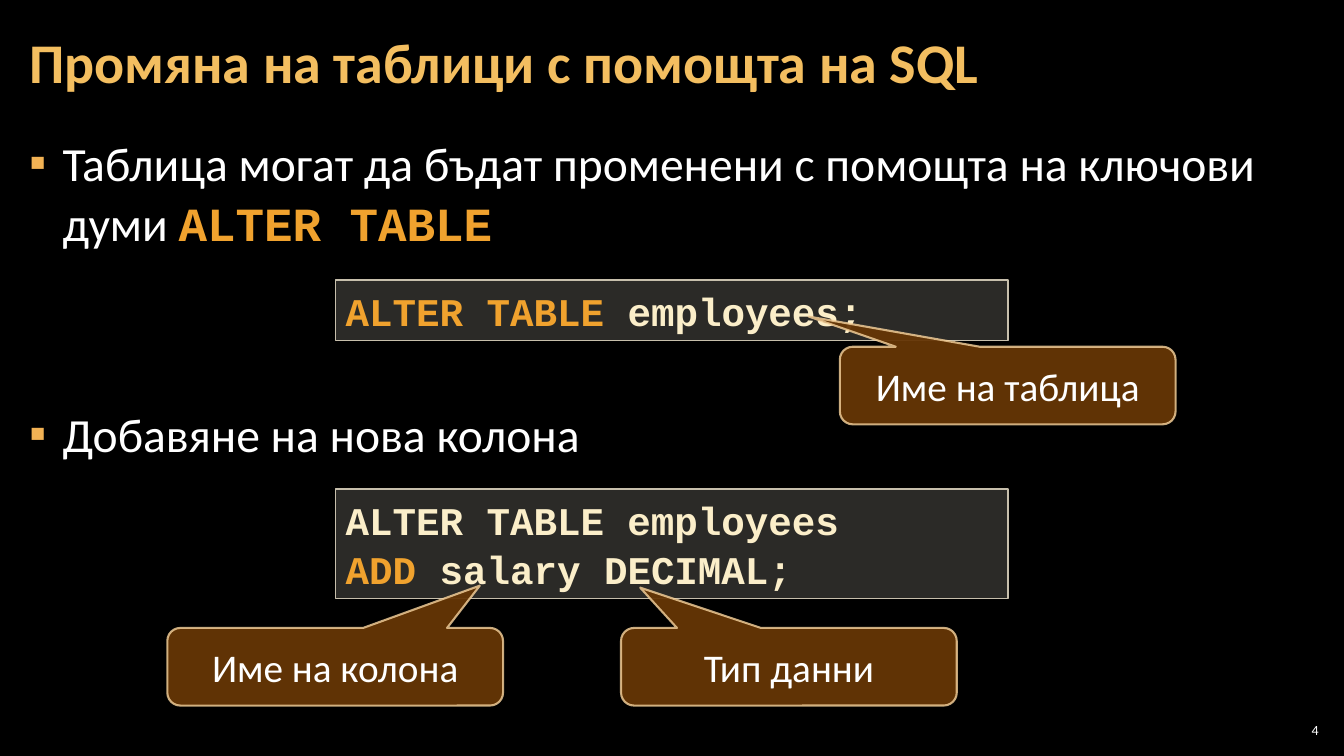
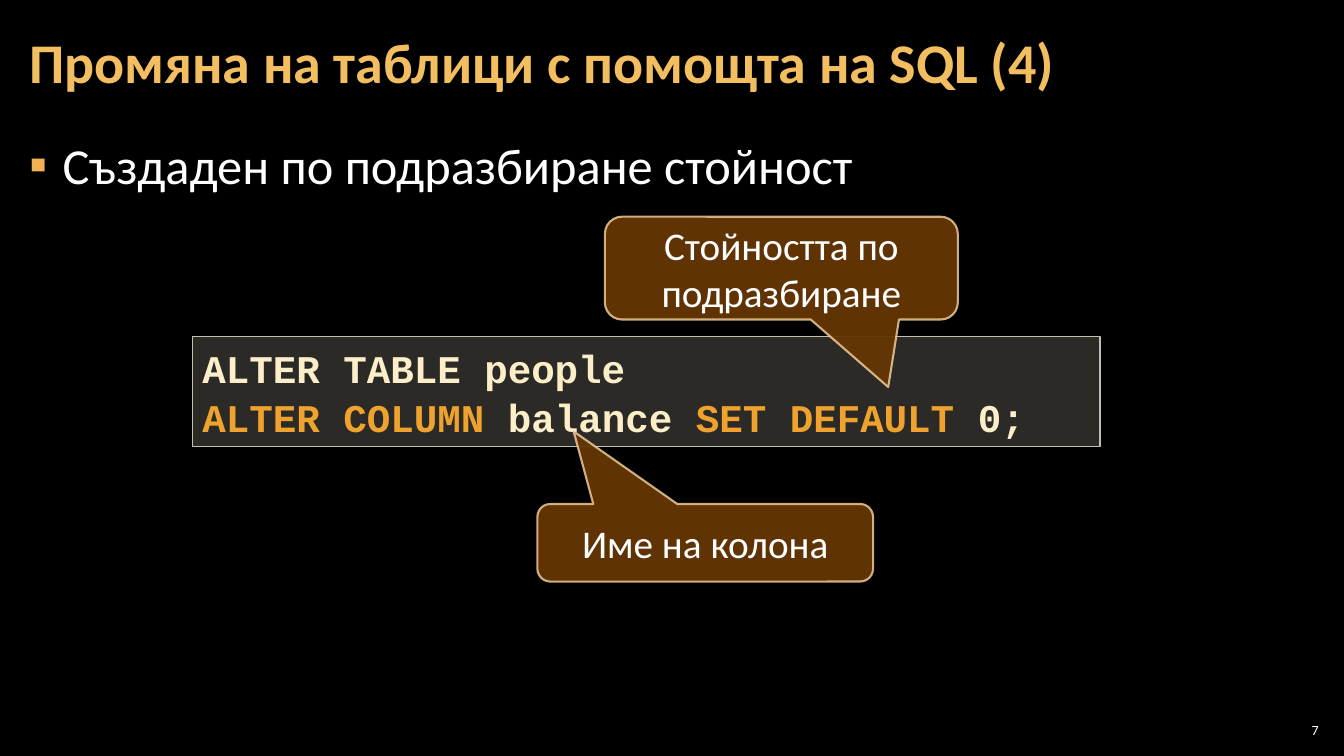
from lxml import etree
from pptx import Presentation
from pptx.dml.color import RGBColor
from pptx.enum import shapes, text
from pptx.oxml.ns import qn
from pptx.util import Inches, Pt

COLORS = {
    "background": "000000",
    "title": "F3BE60",
    "white": "FFFFFF",
    "bullet": "F2B254",
    "keyword": "F0A22E",
    "code": "FBEEC9",
    "code_fill": "D9D5C7",
    "code_line": "C7BFAC",
    "callout_fill": "663606",
    "callout_line": "F8D49E",
}
STYLES = {
    "title": ("Calibri", "title", True),
    "plain": ("Calibri", "white", False),
    "keyword": ("Courier New", "keyword", True),
    "code": ("Courier New", "code", True),
}
CALLOUT_WIDTH, CALLOUT_HEIGHT = 3.33, 0.77
MIDDLE = text.MSO_ANCHOR.MIDDLE


def rgb(name):
    """Return the named colour."""
    return RGBColor.from_string(COLORS[name])


def inches(*lengths):
    """Convert several lengths to EMU."""
    return [Inches(length) for length in lengths]


def write_runs(paragraph, pieces, size):
    """Write (text, style) pieces into a paragraph."""
    for words, style in pieces:
        run = paragraph.add_run()
        run.text = words
        font_name, color, bold = STYLES[style]
        run.font.name, run.font.size, run.font.bold = font_name, Pt(size), bold
        run.font.color.rgb = rgb(color)


def add_paragraphs(frame, lines, size, spacing=None, align=None):
    """Write one paragraph per line of pieces and return the paragraphs."""
    for index, pieces in enumerate(lines):
        paragraph = frame.add_paragraph() if index else frame.paragraphs[0]
        paragraph.line_spacing = spacing
        paragraph.alignment = align
        write_runs(paragraph, pieces, size)
    return frame.paragraphs


def add_text_area(slide, box, inset_x, anchor=text.MSO_ANCHOR.TOP):
    """Add an empty wrapping text box and return its frame."""
    frame = slide.shapes.add_textbox(*inches(*box)).text_frame
    frame.word_wrap = True
    frame.vertical_anchor = anchor
    frame.margin_left = frame.margin_right = Inches(inset_x)
    frame.margin_top = frame.margin_bottom = Inches(0.04)
    return frame


def set_opacity(color_parent, percent):
    """Make the solid fill inside an element partly transparent."""
    color = color_parent.find(qn("a:solidFill")).find(qn("a:srgbClr"))
    etree.SubElement(color, qn("a:alpha")).set("val", str(percent * 1000))


def add_panel(slide, kind, box, role, fill_opacity, line_width):
    """Add a translucent outlined shape in the colours of its role."""
    panel = slide.shapes.add_shape(kind, *inches(*box))
    panel.shadow.inherit = False
    panel.fill.solid()
    panel.fill.fore_color.rgb = rgb(f"{role}_fill")
    set_opacity(panel._element.spPr, fill_opacity)
    panel.line.color.rgb = rgb(f"{role}_line")
    panel.line.width = Pt(line_width)
    panel.text_frame.word_wrap = True
    return panel


def add_code(slide, box, lines):
    """Add a code box with highlighted keywords."""
    panel = add_panel(slide, shapes.MSO_SHAPE.RECTANGLE, box, "code", 20, 1)
    frame = panel.text_frame
    frame.vertical_anchor = text.MSO_ANCHOR.TOP
    frame.auto_size = text.MSO_AUTO_SIZE.SHAPE_TO_FIT_TEXT
    add_paragraphs(frame, lines, 28, 1.05, text.PP_ALIGN.LEFT)


def add_callout(slide, label, corner, tip, width=CALLOUT_WIDTH, height=CALLOUT_HEIGHT):
    """Add a callout whose pointer ends at the tip."""
    left, top = corner
    callout = add_panel(slide, shapes.MSO_SHAPE.ROUNDED_RECTANGULAR_CALLOUT,
                        (left, top, width, height), "callout", 95, 1.5)
    set_opacity(callout.line._get_or_add_ln(), 80)
    callout.adjustments[0] = (tip[0] - left) / width - 0.5
    callout.adjustments[1] = (tip[1] - top) / height - 0.5
    callout.text_frame.vertical_anchor = MIDDLE
    add_paragraphs(callout.text_frame, [[(label, "plain")]], 28,
                   align=text.PP_ALIGN.CENTER)


def add_bullets(slide, items, size, gap=0):
    """Add the bulleted body with a gap between the items."""
    frame = add_text_area(slide, (0.17, 1.26, 12.91, 6.09), 0.12)
    for index, paragraph in enumerate(add_paragraphs(frame, items, size, 1.05)):
        paragraph.space_after = Pt(6)
        if index:
            paragraph.space_before = Pt(gap)
        properties = paragraph._p.get_or_add_pPr()
        properties.set("marL", str(Inches(0.33)))
        properties.set("indent", str(-Inches(0.33)))
        bullet_color = etree.SubElement(properties, qn("a:buClr"))
        etree.SubElement(bullet_color, qn("a:srgbClr")).set("val", COLORS["bullet"])
        etree.SubElement(properties, qn("a:buFont")).set("typeface", "Wingdings")
        properties[-1].set("typeface", "Calibri")
        etree.SubElement(properties, qn("a:buChar")).set("char", "▪")


def start_slide(deck, title, number):
    """Add a slide with its background, title and page number."""
    slide = deck.slides.add_slide(deck.slide_layouts[6])
    slide.background.fill.solid()
    slide.background.fill.fore_color.rgb = rgb("background")
    heading = add_text_area(slide, (0.17, 0.04, 10.47, 1.22), 0.12, MIDDLE)
    add_paragraphs(heading, [[(title, "title")]], 40, 0.9)
    page = add_text_area(slide, (12.65, 7.14, 0.47, 0.21), 0.04, MIDDLE)
    add_paragraphs(page, [[(str(number), "plain")]], 10, align=text.PP_ALIGN.RIGHT)
    return slide


def build_add_column(deck):
    """Build the slide on altering a table and adding a column."""
    slide = start_slide(deck, "Промяна на таблици с помощта на SQL", 4)
    add_bullets(slide, [
        [("Таблица могат да бъдат променени с помощта на ключови думи ", "plain"),
         ("ALTER TABLE", "keyword")],
        [("Добавяне на нова колона", "plain")],
    ], 34, 102)
    add_code(slide, (3.33, 4.85, 6.67, 1.09), [
        [("ALTER TABLE employees", "code")],
        [("ADD", "keyword"), (" salary DECIMAL;", "code")],
    ])
    add_code(slide, (3.33, 2.78, 6.67, 0.6), [
        [("ALTER TABLE ", "keyword"), ("employees;", "code")],
    ])
    add_callout(slide, "Име на таблица", (8.33, 3.44), (8.02, 3.14))
    add_callout(slide, "Име на колона", (1.66, 6.23), (4.76, 5.81))
    add_callout(slide, "Тип данни", (6.16, 6.23), (6.35, 5.83))


def build_default_value(deck):
    """Build the slide on setting a default value."""
    slide = start_slide(deck, "Промяна на таблици с помощта на SQL (4)", 7)
    add_bullets(slide, [[("Създаден по подразбиране стойност", "plain")]], 36)
    add_code(slide, (1.91, 3.34, 9, 1.09), [
        [("ALTER TABLE people", "code")],
        [("ALTER COLUMN ", "keyword"), ("balance", "code"),
         (" SET DEFAULT ", "keyword"), ("0;", "code")],
    ])
    add_callout(slide, "Име на колона", (5.33, 5), (5.69, 4.28))
    add_callout(slide, "Стойността по подразбиране", (6, 2.15), (8.81, 3.84), 3.5, 1.02)


def main():
    """Build and save the deck."""
    deck = Presentation()
    deck.slide_width, deck.slide_height = inches(13.33, 7.5)
    build_add_column(deck)
    build_default_value(deck)
    deck.save("out.pptx")


if __name__ == "__main__":
    main()
